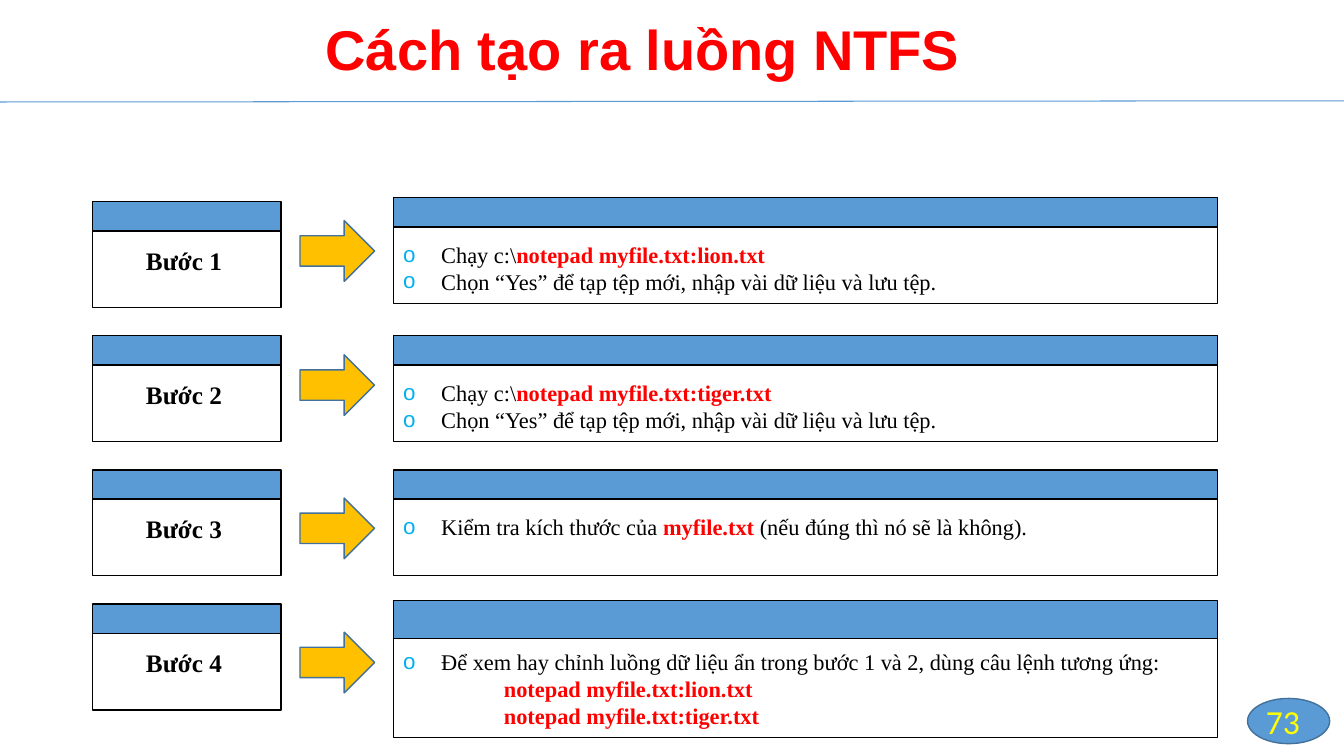
from lxml import etree
from pptx import Presentation
from pptx.dml.color import RGBColor
from pptx.enum import shapes, text
from pptx.oxml.ns import qn
from pptx.util import Cm, Pt

BLUE, EDGE, GOLD, RED, BLACK = "5B9BD5", "42719B", "FFC000", "FF0000", "000000"
SERIF = "Times New Roman"
PLAIN = dict(name=SERIF, size=Pt(16), bold=False, color=BLACK)
COMMAND = dict(PLAIN, bold=True, color=RED)
STEP = dict(PLAIN, size=Pt(18), bold=True)
TITLE = dict(name="Arial", size=Pt(40), bold=True, color=RED)
NUMBER = dict(name="Calibri", size=Pt(24), bold=False, color="FFFF00")


def rgb(value):
    return RGBColor.from_string(value)


def add_shape(s, kind, box, fill, line):
    sp = s.shapes.add_shape(kind, *map(Cm, box))
    sp.shadow.inherit = False
    if fill:
        sp.fill.solid()
        sp.fill.fore_color.rgb = rgb(fill)
    else:
        sp.fill.background()
    sp.line.color.rgb = rgb(line)
    sp.line.width = Pt(1)
    return sp


def add_run(p, words, style):
    r = p.add_run()
    r.text = words
    for key, value in style.items():
        if key == "color":
            r.font.color.rgb = rgb(value)
        else:
            setattr(r.font, key, value)


def add_text(s, box):
    tf = s.shapes.add_textbox(*map(Cm, box)).text_frame
    tf.word_wrap = True
    return tf


def set_indent(p, left, hanging=0, bullet=None):
    """Indent a paragraph, in cm, with an optional light blue bullet."""
    pPr = p._p.get_or_add_pPr()
    pPr.set("marL", str(Cm(left)))
    pPr.set("indent", str(-Cm(hanging)))
    if bullet:
        color = etree.SubElement(pPr, qn("a:buClr"))
        etree.SubElement(color, qn("a:srgbClr"), val="00B0F0")
        etree.SubElement(pPr, qn("a:buFont"), typeface="Arial")
        etree.SubElement(pPr, qn("a:buChar"), char=bullet)


def add_card(s, x, y, w, head, body):
    """A blue strip above an empty framed panel."""
    rect = shapes.MSO_SHAPE.RECTANGLE
    add_shape(s, rect, (x, y, w, head), BLUE, BLACK)
    add_shape(s, rect, (x, y + head, w, body), None, BLACK)


def add_step(s, x, y, label):
    add_card(s, x, y, 4.75, 0.74, 1.93)
    tf = add_text(s, (x + 1.1, y + 0.97, 2.6, 1.02))
    add_run(tf.paragraphs[0], label, STEP)


def add_detail(s, x, y, head, body, text_top, lines):
    add_card(s, x, y, 20.78, head, body)
    tf = add_text(s, (x, y + text_top, 20.78, body - 0.2))
    for i, (bulleted, runs) in enumerate(lines):
        p = tf.add_paragraph() if i else tf.paragraphs[0]
        if bulleted:
            set_indent(p, 0.96, 0.96, "o")
        else:
            set_indent(p, 2.54)
        for words, style in runs:
            add_run(p, words, style)


def add_header(s, words):
    title = s.shapes.title
    title.left, title.top, title.width, title.height = map(Cm, (7.95, 0.25, 16.84, 1.96))
    tf = title.text_frame
    for key, value in dict(word_wrap=True, auto_size=text.MSO_AUTO_SIZE.NONE,
                           vertical_anchor=text.MSO_ANCHOR.TOP).items():
        setattr(tf, key, value)
    p = tf.paragraphs[0]
    p.alignment = text.PP_ALIGN.LEFT
    add_run(p, words, TITLE)
    rule = s.shapes.add_connector(shapes.MSO_CONNECTOR.STRAIGHT,
                                  *map(Cm, (0, 2.57, 33.87, 2.54)))
    rule.line.color.rgb = rgb(BLUE)
    rule.line.width = Pt(0.75)
    etree.SubElement(rule._element.spPr, qn("a:effectLst"))


def add_page_number(s, x, y, number):
    add_shape(s, shapes.MSO_SHAPE.OVAL, (x, y, 2.07, 1.14), BLUE, EDGE)
    tf = add_text(s, (x - 6.05, y + 0.05, 7.62, 1.02))
    tf.vertical_anchor = text.MSO_ANCHOR.MIDDLE
    p = tf.paragraphs[0]
    p.alignment = text.PP_ALIGN.RIGHT
    add_run(p, number, NUMBER)


def create_lines(file):
    return [(True, [("Chạy c:\\", PLAIN), (f"notepad {file}", COMMAND)]),
            (True, [("Chọn “Yes” để tạp tệp mới, nhập vài dữ liệu và lưu tệp.", PLAIN)])]


def main():
    prs = Presentation()
    prs.slide_width, prs.slide_height = Cm(33.87), Cm(19.05)
    s = prs.slides.add_slide(prs.slide_layouts[5])
    add_header(s, "Cách tạo ra luồng NTFS")
    add_page_number(s, 31.44, 17.6, "73")

    files = ["myfile.txt:lion.txt", "myfile.txt:tiger.txt"]
    check = [(True, [("Kiểm tra kích thước của ", PLAIN), ("myfile.txt", COMMAND),
                     (" (nếu đúng thì nó sẽ là không).", PLAIN)])]
    view = [(True, [("Để xem hay chỉnh luồng dữ liệu ẩn trong bước 1 và 2, "
                     "dùng câu lệnh tương ứng:", PLAIN)])]
    view += [(False, [(f"notepad {file}", COMMAND)]) for file in files]

    normal, tall = (0.74, 1.93, 0.97), (0.95, 2.5, 1.07)
    steps = [  # arrow top, detail top, detail heights, lines
        (5.56, 4.98, normal, create_lines(files[0])),
        (8.94, 8.46, normal, create_lines(files[1])),
        (12.55, 11.84, normal, check),
        (15.93, 15.14, tall, view),
    ]
    for i, (arrow_top, top, heights, lines) in enumerate(steps):
        add_step(s, 2.33, 5.08 + 3.38 * i, f"Bước {i + 1}")
        add_shape(s, shapes.MSO_SHAPE.RIGHT_ARROW, (7.56, arrow_top, 1.88, 1.53), GOLD, EDGE)
        add_detail(s, 9.91, top, *heights, lines)
    prs.save("out.pptx")


if __name__ == "__main__":
    main()
